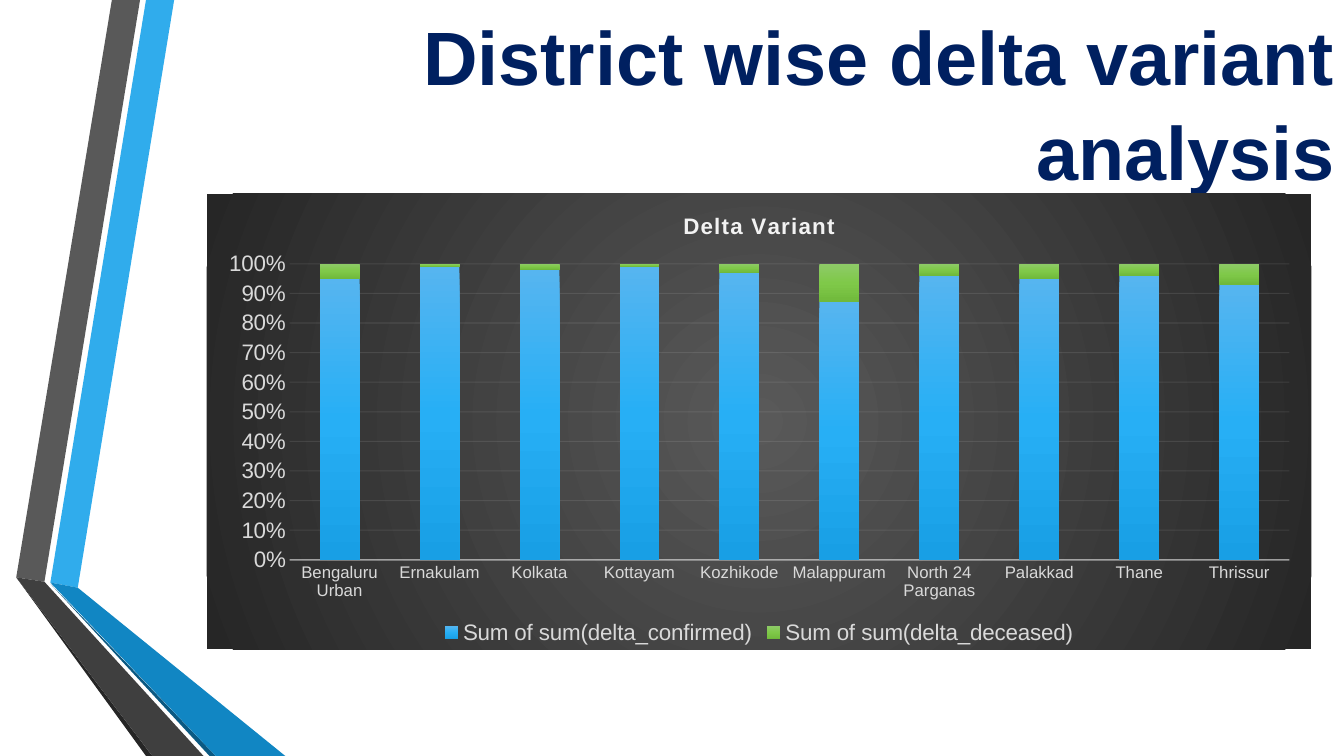
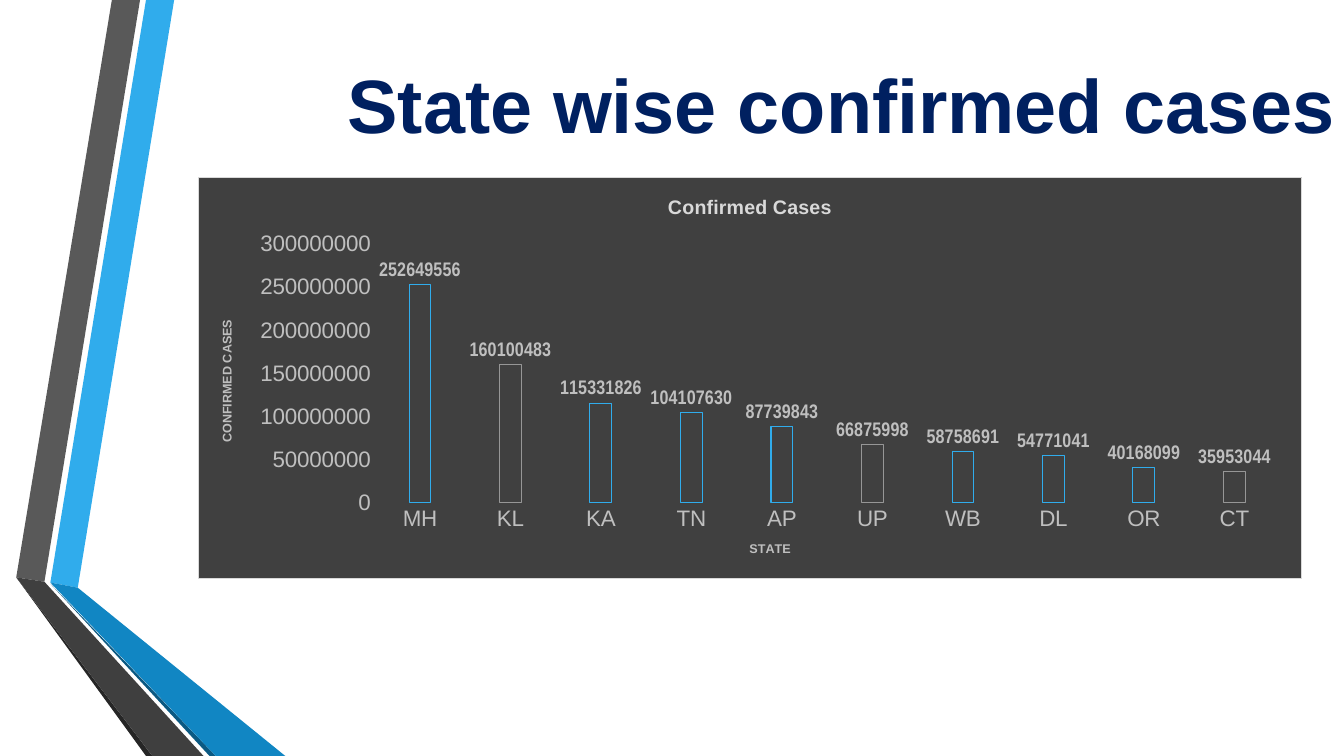
import dataclasses

import pptx
import pptx.chart.data
import pptx.dml.color
import pptx.enum.chart
import pptx.enum.text
import pptx.oxml
import pptx.oxml.ns
import pptx.util

Cm = pptx.util.Cm
Pt = pptx.util.Pt
ChartType = pptx.enum.chart.XL_CHART_TYPE


@dataclasses.dataclass(frozen=True)
class Theme:
    font: str = "Arial"
    label_font: str = "Arial Narrow"
    navy: str = "002060"
    sky: str = "30ACEC"
    blue: str = "1186C3"
    deep_blue: str = "0B5982"
    black: str = "262626"
    charcoal: str = "3F3F3F"
    panel: str = "404040"
    grey: str = "595959"
    outline_grey: str = "969696"
    muted: str = "BFBFBF"
    soft: str = "D9D9D9"
    bright: str = "F2F2F2"
    blue_bars: tuple = ("56B5F0", "27AFF5", "189FE5")
    green_bars: tuple = ("8ECA68", "7FC949", "70B93B")
    title_size: int = 54
    large_size: int = 16
    medium_size: int = 14
    small_size: int = 12
    tiny_size: int = 9


THEME = Theme()

# Corner points in hundredths of a centimetre, from back to front
RIBBONS = [
    (THEME.sky, [(127, 1468), (196, 1481), (439, 0), (368, 0)]),
    (THEME.grey, [(353, 0), (282, 0), (41, 1455), (112, 1466)]),
    (THEME.black, [(41, 1455), (368, 1905), (384, 1905)]),
    (THEME.deep_blue, [(127, 1471), (528, 1905), (544, 1905)]),
    (THEME.blue, [(127, 1468), (544, 1905), (719, 1905), (196, 1481)]),
    (THEME.charcoal, [(513, 1905), (112, 1466), (41, 1455), (384, 1905)]),
]

DISTRICTS = ["Bengaluru Urban", "Ernakulam", "Kolkata", "Kottayam", "Kozhikode",
             "Malappuram", "North 24 Parganas", "Palakkad", "Thane", "Thrissur"]
DISTRICT_SHARES = {
    "Sum of sum(delta_confirmed)": [95, 99, 98, 99, 97, 87, 96, 95, 96, 93],
    "Sum of sum(delta_deceased)": [5, 1, 2, 1, 3, 13, 4, 5, 4, 7],
}
STATES = ["MH", "KL", "KA", "TN", "AP", "UP", "WB", "DL", "OR", "CT"]
STATE_CASES = {
    "Series 1": [252649556, 160100483, 115331826, 104107630, 87739843,
                 66875998, 58758691, 54771041, 40168099, 35953044],
}


def rgb(color):
    return pptx.dml.color.RGBColor.from_string(color)


def drawing_xml(tag, content):
    """Parse one element of the drawing or chart namespace."""
    return pptx.oxml.parse_xml(
        f"<{tag} {pptx.oxml.ns.nsdecls('a', 'c')}>{content}</{tag}>")


def gradient(colors, direction):
    last = len(colors) - 1
    stops = "".join(
        f'<a:gs pos="{100000 * index // last}"><a:srgbClr val="{color}"/></a:gs>'
        for index, color in enumerate(colors))
    return drawing_xml("a:gradFill", f"<a:gsLst>{stops}</a:gsLst>{direction}")


def set_opacity(chart, parent, percent):
    for color in chart.element.xpath(f".//{parent}//a:ln//a:srgbClr"):
        color.append(pptx.oxml.parse_xml(
            f'<a:alpha {pptx.oxml.ns.nsdecls("a")} val="{percent * 1000}"/>'))


class Deck:
    def __init__(self, theme):
        self.theme = theme
        self.deck = pptx.Presentation()
        self.deck.slide_width = Cm(33.87)
        self.deck.slide_height = Cm(19.05)
        self.page = None

    def add_page(self, title):
        self.page = self.deck.slides.add_slide(self.deck.slide_layouts[6])
        for color, corners in RIBBONS:
            self.add_ribbon(color, corners)
        self.add_title(title)

    def add_ribbon(self, color, corners):
        builder = self.page.shapes.build_freeform(*corners[0], scale=Cm(0.01))
        builder.add_line_segments(corners[1:], close=True)
        ribbon = builder.convert_to_shape()
        ribbon.shadow.inherit = False
        ribbon.fill.solid()
        ribbon.fill.fore_color.rgb = rgb(color)
        ribbon.line.fill.background()

    def add_title(self, text):
        box = self.page.shapes.add_textbox(Cm(6.05), Cm(0.1), Cm(27.84), Cm(4.88))
        box.text_frame.word_wrap = True
        box.text_frame.vertical_anchor = pptx.enum.text.MSO_ANCHOR.MIDDLE
        para = box.text_frame.paragraphs[0]
        para.alignment = pptx.enum.text.PP_ALIGN.RIGHT
        para.line_spacing = 1.05
        self.add_span(para, text, self.theme.title_size, self.theme.navy)

    def set_font(self, font, size, color, bold=False, name=None):
        font.name = name or self.theme.font
        font.size = Pt(size)
        font.bold = bold
        font.color.rgb = rgb(color)

    def add_span(self, para, text, size, color):
        span = para.add_run()
        span.text = text
        self.set_font(span.font, size, color, bold=True)
        return span

    def add_chart(self, kind, categories, series, place, plot_area, gap, overlap):
        """Add a column chart; plot_area is x, y, width, height as shares."""
        data = pptx.chart.data.CategoryChartData()
        data.categories = categories
        for name, values in series.items():
            data.add_series(name, values)
        chart = self.page.shapes.add_chart(kind, *map(Cm, place), data).chart
        chart.font.name = self.theme.font
        chart.font.size = Pt(10)
        chart.has_legend = False
        plot = chart.plots[0]
        plot.vary_by_categories = False
        plot.gap_width = gap
        plot.overlap = overlap
        x, y, width, height = plot_area
        layout = drawing_xml("c:layout", (
            '<c:manualLayout><c:layoutTarget val="inner"/>'
            '<c:xMode val="edge"/><c:yMode val="edge"/>'
            f'<c:x val="{x}"/><c:y val="{y}"/>'
            f'<c:w val="{width}"/><c:h val="{height}"/></c:manualLayout>'))
        area = chart.element.xpath(".//c:plotArea")[0]
        for automatic in area.xpath("./c:layout"):
            area.remove(automatic)
        area.insert(0, layout)
        return chart

    def add_heading(self, titled, text, size, color):
        """Title a chart or an axis."""
        holder = titled.chart_title if hasattr(titled, "chart_title") else titled.axis_title
        return self.add_span(holder.text_frame.paragraphs[0], text, size, color)

    def style_axis(self, axis, size, color):
        axis.major_tick_mark = pptx.enum.chart.XL_TICK_MARK.NONE
        axis.minor_tick_mark = pptx.enum.chart.XL_TICK_MARK.NONE
        axis.has_major_gridlines = False
        axis.format.line.fill.background()
        self.set_font(axis.tick_labels.font, size, color)

    def set_number_format(self, labels, number_format):
        labels.number_format = number_format
        labels.number_format_is_linked = False

    def set_line(self, line, color, width):
        line.color.rgb = rgb(color)
        line.width = Pt(width)

    def set_background(self, chart, fill, border="<a:ln><a:noFill/></a:ln>"):
        panel = drawing_xml("c:spPr", border)
        panel.insert(0, fill)
        chart.element.xpath("./c:chart")[0].addnext(panel)

    def save(self):
        self.deck.save("out.pptx")


def build_district_page(deck):
    theme = deck.theme
    deck.add_page("District wise delta variant analysis")
    chart = deck.add_chart(
        ChartType.COLUMN_STACKED_100, DISTRICTS, DISTRICT_SHARES,
        place=(5.21, 4.88, 27.84, 11.48), plot_area=(0.075, 0.154, 0.905, 0.65),
        gap=150, overlap=100)
    heading = deck.add_heading(chart, "Delta Variant", theme.large_size, theme.bright)
    heading.font._element.set("spc", "100")
    deck.set_background(chart, gradient(
        (theme.grey, theme.black),
        '<a:path path="circle"><a:fillToRect l="50000" t="50000" r="50000" b="50000"/></a:path>'))

    deck.style_axis(chart.category_axis, theme.small_size, theme.soft)
    deck.set_line(chart.category_axis.format.line, theme.bright, 1)
    set_opacity(chart, "c:catAx", 54)
    value_axis = chart.value_axis
    deck.style_axis(value_axis, theme.large_size, theme.soft)
    deck.set_number_format(value_axis.tick_labels, "0%")
    value_axis.has_major_gridlines = True
    deck.set_line(value_axis.major_gridlines.format.line, theme.bright, 0.75)
    set_opacity(chart, "c:majorGridlines", 10)

    for series in chart.plots[0].series:
        series.invert_if_negative = False
        series.format.fill.background()
    fills = chart.element.xpath(".//c:ser/c:spPr/a:noFill")
    for fill, colors in zip(fills, (theme.blue_bars, theme.green_bars)):
        fill.getparent().replace(fill, gradient(colors, '<a:lin ang="5400000" scaled="0"/>'))

    chart.has_legend = True
    chart.legend.position = pptx.enum.chart.XL_LEGEND_POSITION.BOTTOM
    chart.legend.include_in_layout = False
    deck.set_font(chart.legend.font, theme.large_size, theme.soft)


def build_state_page(deck):
    theme = deck.theme
    deck.add_page("State wise confirmed cases")
    chart = deck.add_chart(
        ChartType.COLUMN_CLUSTERED, STATES, STATE_CASES,
        place=(4.98, 4.45, 27.84, 10.13), plot_area=(0.16, 0.167, 0.82, 0.645),
        gap=315, overlap=-40)
    deck.add_heading(chart, "Confirmed Cases", theme.medium_size, theme.soft)
    fill = drawing_xml("a:solidFill", f'<a:srgbClr val="{theme.panel}"/>')
    deck.set_background(chart, fill, (
        f'<a:ln w="{Pt(0.75)}"><a:solidFill><a:srgbClr val="{theme.soft}"/>'
        '</a:solidFill></a:ln>'))

    for axis, name in ((chart.category_axis, "STATE"), (chart.value_axis, "CONFIRMED CASES")):
        deck.style_axis(axis, theme.large_size, theme.muted)
        deck.add_heading(axis, name, theme.tiny_size, theme.muted)
    chart.value_axis.maximum_scale = 300000000
    chart.value_axis.major_unit = 50000000
    deck.set_number_format(chart.value_axis.tick_labels, "0")

    series = chart.plots[0].series[0]
    series.invert_if_negative = False
    series.format.fill.background()
    deck.set_line(series.format.line, theme.sky, 0.75)
    for index in range(1, len(STATES), 4):
        point = series.points[index]
        point.format.fill.background()
        deck.set_line(point.format.line, theme.outline_grey, 0.75)

    labels = series.data_labels
    labels.show_value = True
    labels.position = pptx.enum.chart.XL_LABEL_POSITION.OUTSIDE_END
    deck.set_number_format(labels, "0")
    deck.set_font(labels.font, theme.medium_size, theme.muted, bold=True, name=theme.label_font)


def main():
    deck = Deck(THEME)
    build_district_page(deck)
    build_state_page(deck)
    deck.save()


if __name__ == "__main__":
    main()
